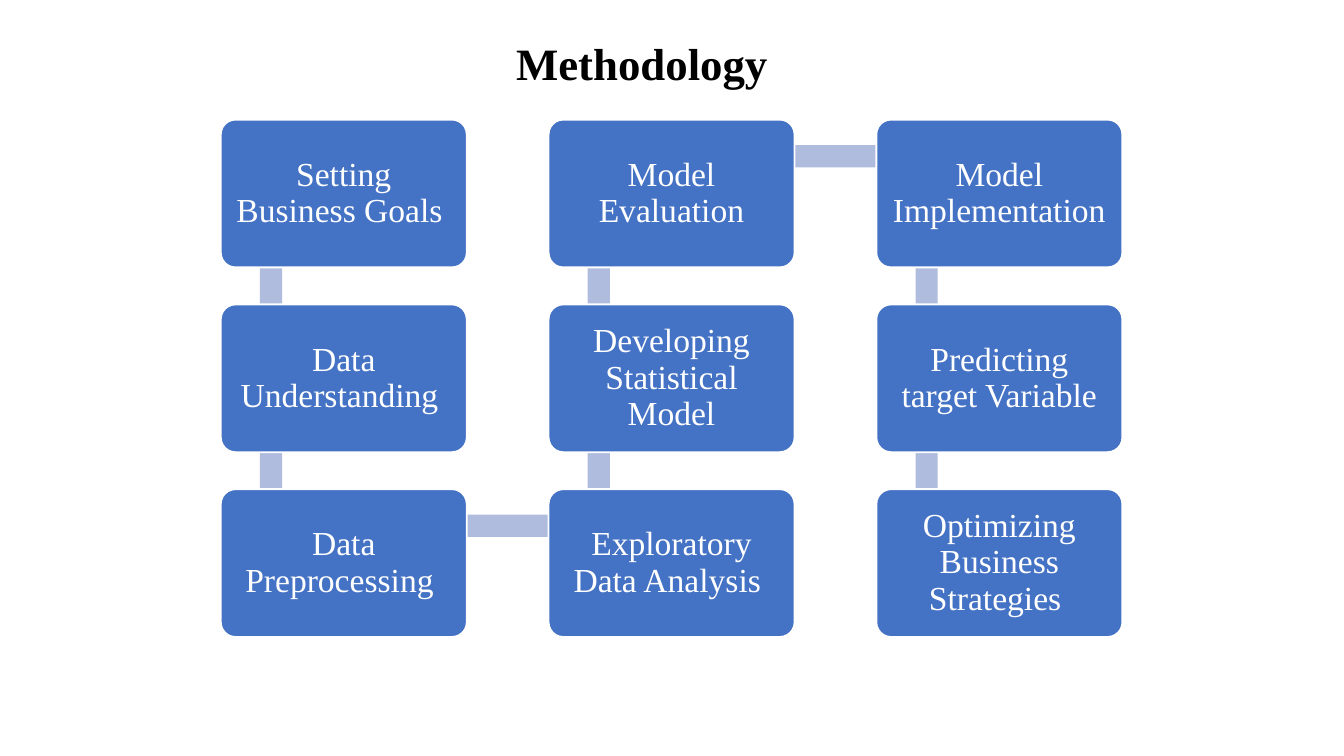
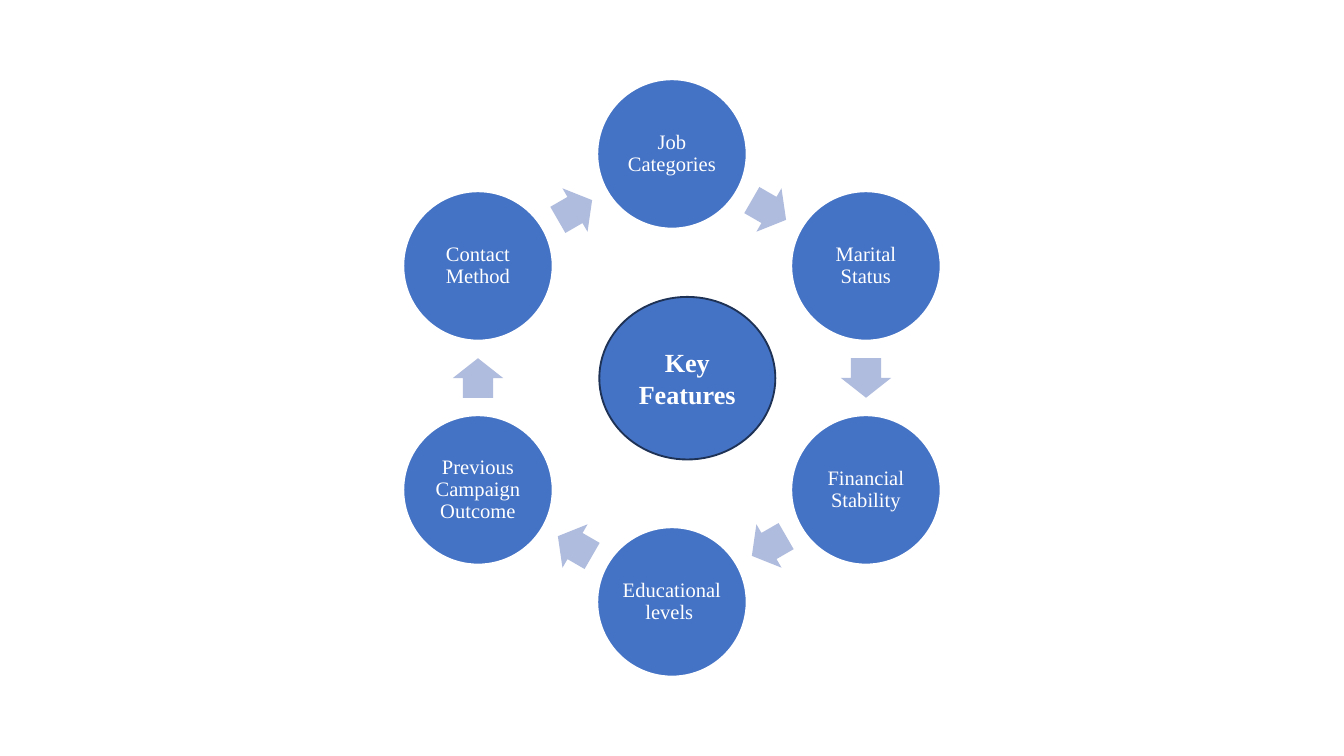
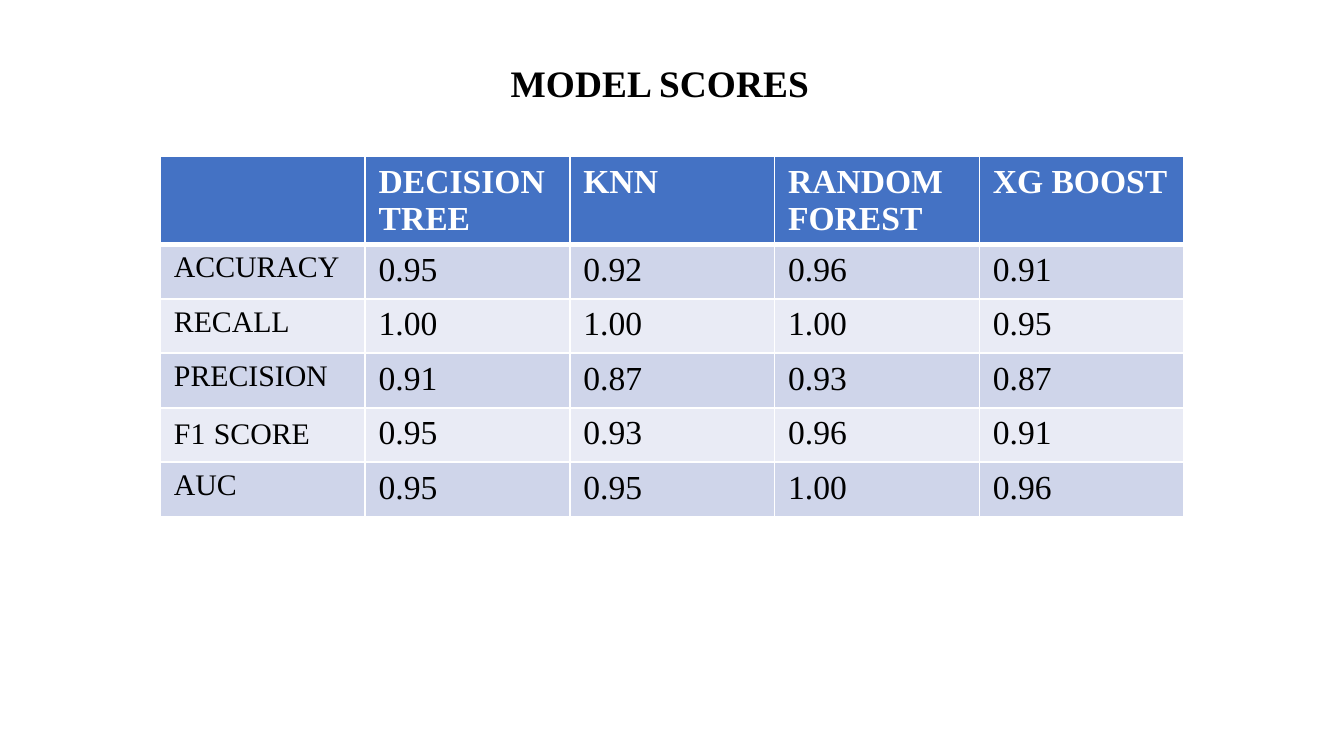
import math

from lxml import etree
from pptx import Presentation
from pptx.dml.color import RGBColor
from pptx.enum import shapes, text as t
from pptx.oxml import ns
from pptx.util import Pt

FONT = "Times New Roman"
BLUE, PALE_BLUE, NAVY = "4472C4", "B0BCDE", "1E3256"
WHITE, BLACK = "FFFFFF", "000000"
BAND_DARK, BAND_LIGHT = "CFD5EA", "E9EBF5"
TITLE_ONLY, BLANK = 5, 6

# Steps in reading order of the snake, each with its (column, row)
STEPS = [
    ("Setting Business Goals ", 0, 0),
    ("Data Understanding ", 0, 1),
    ("Data Preprocessing ", 0, 2),
    ("Exploratory Data Analysis ", 1, 2),
    ("Developing Statistical Model", 1, 1),
    ("Model Evaluation", 1, 0),
    ("Model Implementation", 2, 0),
    ("Predicting target Variable", 2, 1),
    ("Optimizing Business Strategies ", 2, 2),
]
FEATURES = ["Job Categories", "Marital Status", "Financial Stability",
            "Educational levels ", "Previous Campaign Outcome", "Contact Method"]
MODELS = ["", "DECISION TREE", "KNN", "RANDOM FOREST", "XG BOOST"]
SCORES = [
    ("ACCURACY", "0.95", "0.92", "0.96", "0.91"),
    ("RECALL", "1.00", "1.00", "1.00", "0.95"),
    ("PRECISION", "0.91", "0.87", "0.93", "0.87"),
    ("F1 SCORE", "0.95", "0.93", "0.96", "0.91"),
    ("AUC", "0.95", "0.95", "1.00", "0.96"),
]


def color(value):
    return RGBColor.from_string(value)


def write(frame, content, size=18, fill=WHITE, bold=False, spacing=None,
          align=t.PP_ALIGN.LEFT, space_size=None):
    """Fill a text frame; space_size sets the blanks between words apart."""
    paragraph = frame.paragraphs[0]
    paragraph.alignment = align
    paragraph.line_spacing = spacing
    parts = [content]
    if space_size:
        first, gap, last = content.partition(" ")
        parts = [part for part in (first, gap, last) if part]
    for part in parts:
        run = paragraph.add_run()
        run.text = part
        run.font.name = FONT
        run.font.size = Pt(space_size if part == " " else size)
        run.font.bold = bold
        run.font.color.rgb = color(fill)


def add_title(slide, content, left, top, width, height, size):
    title = slide.shapes.title
    title.left, title.top = Pt(left), Pt(top)
    title.width, title.height = Pt(width), Pt(height)
    frame = title.text_frame
    frame.auto_size = t.MSO_AUTO_SIZE.NONE
    frame.vertical_anchor = t.MSO_ANCHOR.BOTTOM
    write(frame, content, size=size, fill=BLACK, bold=True)


def add_block(slide, kind, center_x, center_y, width, height, fill=BLUE,
              line=None, rotation=0, adjustments=()):
    """Add a preset shape placed by its centre."""
    shape = slide.shapes.add_shape(
        kind, Pt(center_x - width / 2), Pt(center_y - height / 2),
        Pt(width), Pt(height))
    shape.shadow.inherit = False
    shape.rotation = rotation
    for index, value in enumerate(adjustments):
        shape.adjustments[index] = value
    shape.fill.solid()
    shape.fill.fore_color.rgb = color(fill)
    if line:
        shape.line.color.rgb = color(line)
        shape.line.width = Pt(1)
    else:
        shape.line.fill.background()
    return shape


def label(shape, content, inset=None, **text_format):
    """Write centred text inside a shape."""
    frame = shape.text_frame
    frame.word_wrap = True
    frame.vertical_anchor = t.MSO_ANCHOR.MIDDLE
    if inset is not None:
        frame.margin_left = frame.margin_right = Pt(inset)
        frame.margin_top = frame.margin_bottom = Pt(inset)
    write(frame, content, align=t.PP_ALIGN.CENTER, **text_format)


def direction(start, end):
    angle = math.atan2(end[1] - start[1], end[0] - start[0])
    return math.degrees(angle) % 360


def midpoint(start, end):
    return (start[0] + end[0]) / 2, (start[1] + end[1]) / 2


def style_cell(cell, fill, top=1, bottom=1):
    """Give a cell white borders and a plain fill."""
    properties = cell._tc.get_or_add_tcPr()
    for side, width in (("L", 1), ("R", 1), ("T", top), ("B", bottom)):
        border = etree.SubElement(properties, ns.qn(f"a:ln{side}"), w=str(Pt(width)))
        solid = etree.SubElement(border, ns.qn("a:solidFill"))
        etree.SubElement(solid, ns.qn("a:srgbClr"), val=WHITE)
    cell.fill.solid()
    cell.fill.fore_color.rgb = color(fill)


def build_methodology(presentation):
    slide = presentation.slides.add_slide(presentation.slide_layouts[TITLE_ONLY])
    width, height = 131.8, 79.2
    centers = [(184.2 + 175.6 * column, 103.7 + 99 * row) for _, column, row in STEPS]
    # Bars join points near the top left corner of each box
    joints = [(x - 39, y - 20) for x, y in centers]
    for index, (step, _, _) in enumerate(STEPS):
        if index + 1 < len(STEPS):
            start, end = joints[index:index + 2]
            add_block(slide, shapes.MSO_SHAPE.RECTANGLE, *midpoint(start, end),
                      math.dist(start, end), 11.9, fill=PALE_BLUE,
                      rotation=direction(start, end))
        box = add_block(slide, shapes.MSO_SHAPE.ROUNDED_RECTANGLE, *centers[index],
                        width, height, line=WHITE, adjustments=[0.1])
        label(box, step, inset=5, spacing=0.9)
    add_title(slide, "Methodology", 269.3, 15.8, 254.2, 36, size=24)


def build_key_features(presentation):
    slide = presentation.slides.add_slide(presentation.slide_layouts[BLANK])
    radius, count = 120, len(FEATURES)
    angles = [2 * math.pi * index / count for index in range(count)]
    centers = [(360 + radius * math.sin(angle), 202.5 - radius * math.cos(angle))
               for angle in angles]
    for index, feature in enumerate(FEATURES):
        start, end = centers[index], centers[(index + 1) % count]
        circle = add_block(slide, shapes.MSO_SHAPE.OVAL, *start, 80, 80, line=WHITE)
        label(circle, feature, inset=1.5, size=11, spacing=0.9)
        add_block(slide, shapes.MSO_SHAPE.RIGHT_ARROW, *midpoint(start, end),
                  21.2, 26.9, fill=PALE_BLUE, rotation=direction(start, end),
                  adjustments=[0.6, 0.5])
    hub = add_block(slide, shapes.MSO_SHAPE.FLOWCHART_CONNECTOR, 368.2, 202.6,
                    94.3, 87.1, line=NAVY)
    label(hub, "Key Features", size=14, bold=True)


def build_model_scores(presentation):
    slide = presentation.slides.add_slide(presentation.slide_layouts[TITLE_ONLY])
    header_height, row_height, column_width = 46.4, 29.2, 109.7
    table = slide.shapes.add_table(
        len(SCORES) + 1, len(MODELS), Pt(86), Pt(83.8),
        Pt(column_width * len(MODELS)),
        Pt(header_height + row_height * len(SCORES))).table
    for column in table.columns:
        column.width = Pt(column_width)
    for index, row in enumerate(table.rows):
        row.height = Pt(row_height if index else header_height)
    # Header row
    for column, model in enumerate(MODELS):
        cell = table.cell(0, column)
        style_cell(cell, BLUE, bottom=3)
        if model:
            write(cell.text_frame, model, bold=True)
    # Banded score rows
    for row, values in enumerate(SCORES, start=1):
        for column, value in enumerate(values):
            cell = table.cell(row, column)
            style_cell(cell, BAND_DARK if row % 2 else BAND_LIGHT,
                       top=3 if row == 1 else 1)
            write(cell.text_frame, value, size=18 if column else 16, fill=BLACK,
                  space_size=18)
    add_title(slide, "MODEL SCORES", 266.4, 6.5, 187.2, 53.3, size=20)


def main():
    presentation = Presentation()
    presentation.slide_width, presentation.slide_height = Pt(720), Pt(405)
    build_methodology(presentation)
    build_key_features(presentation)
    build_model_scores(presentation)
    presentation.save("out.pptx")


if __name__ == "__main__":
    main()
